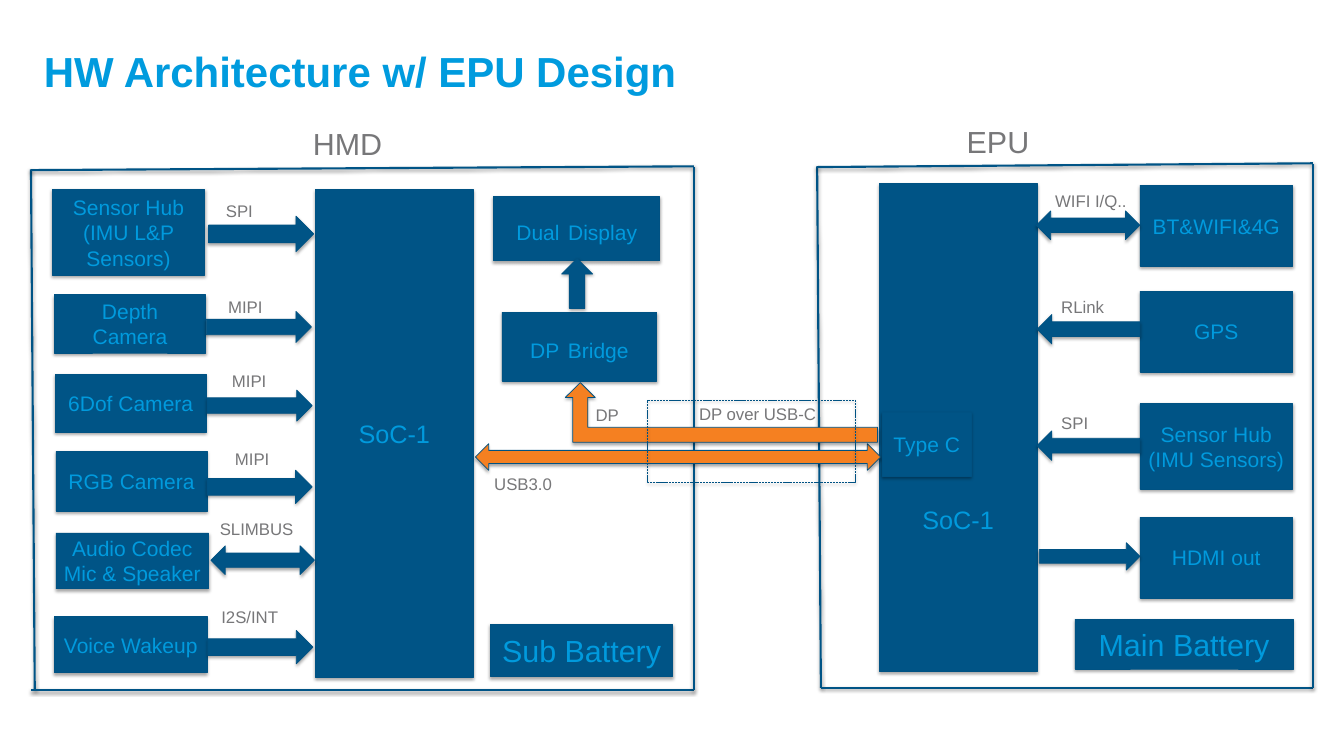
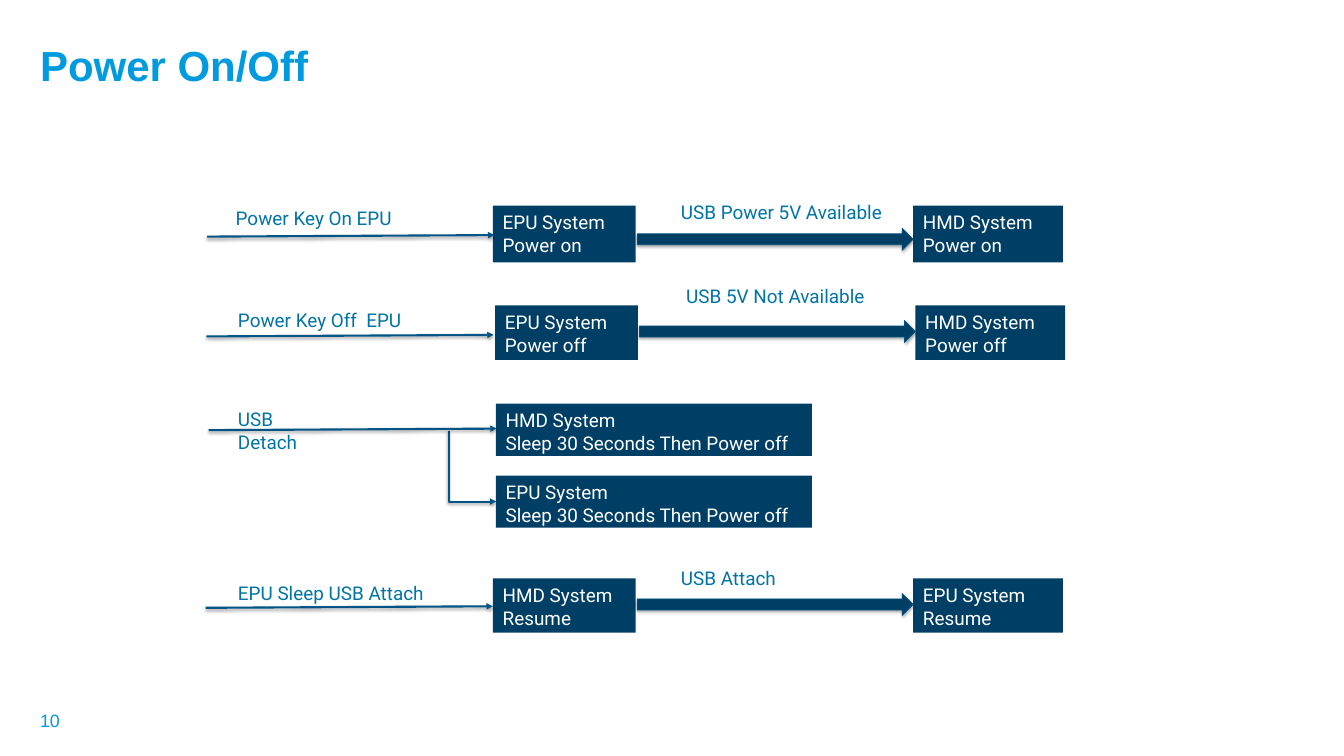
from pptx import Presentation
from pptx.dml.color import RGBColor
from pptx.enum.dml import MSO_LINE
from pptx.enum.shapes import MSO_CONNECTOR, MSO_SHAPE
from pptx.enum.text import MSO_ANCHOR, MSO_AUTO_SIZE, PP_ALIGN
from pptx.oxml.ns import qn
from pptx.oxml.xmlchemy import OxmlElement
from pptx.util import Inches, Pt

# Shared look
BLUE = RGBColor(0x00, 0x54, 0x86)
OUTLINE = RGBColor(0x00, 0x52, 0x83)
NAVY = RGBColor(0x00, 0x3F, 0x65)
SKY = RGBColor(0x00, 0x9A, 0xDD)
TITLE_BLUE = RGBColor(0x00, 0x9B, 0xDE)
LABEL_BLUE = RGBColor(0x00, 0x74, 0xA6)
GREY = RGBColor(0x77, 0x77, 0x79)
ORANGE = RGBColor(0xF5, 0x80, 0x21)
WHITE = RGBColor(0xFF, 0xFF, 0xFF)
ARIAL, ROBOTO = "Arial", "Roboto"

RIGHT, LEFT = MSO_SHAPE.RIGHT_ARROW, MSO_SHAPE.LEFT_ARROW
BOTH, UP = MSO_SHAPE.LEFT_RIGHT_ARROW, MSO_SHAPE.UP_ARROW


def add_child(parent, tag, **attributes):
    child = OxmlElement(tag)
    for name, value in attributes.items():
        child.set(name, str(value))
    parent.append(child)
    return child


def add_shadow(effects, alpha, distance):
    """Soft shadow straight below the element."""
    outer = add_child(effects, "a:outerShdw", blurRad=Pt(3.1), dist=Pt(distance),
                      dir=5400000, rotWithShape=0)
    black = add_child(outer, "a:srgbClr", val="000000")
    add_child(black, "a:alpha", val=alpha * 1000)


def set_insets(frame, across, down):
    frame.margin_left = frame.margin_right = Inches(across)
    frame.margin_top = frame.margin_bottom = Inches(down)


def add_run(paragraph, text, size, color, font=ARIAL, bold=False):
    run = paragraph.add_run()
    run.text = text
    run.font.name = font
    run.font.size = Pt(size)
    run.font.bold = bold
    run.font.color.rgb = color


def add_lines(frame, lines, size, color, font=ARIAL, align=PP_ALIGN.LEFT):
    """One paragraph per line; a line is a text or a list of (text, size) runs."""
    frame.word_wrap = True
    for index, line in enumerate(lines):
        paragraph = frame.add_paragraph() if index else frame.paragraphs[0]
        paragraph.alignment = align
        runs = [(line, size)] if isinstance(line, str) else line
        for text, run_size in runs:
            add_run(paragraph, text, run_size, color, font)


def add_title(slide, text, left, top):
    title = slide.shapes.title
    title.left, title.top = Inches(left), Inches(top)
    title.width, title.height = Inches(17.09), Inches(0.92)
    frame = title.text_frame
    frame.auto_size = MSO_AUTO_SIZE.NONE
    frame.vertical_anchor = MSO_ANCHOR.MIDDLE
    set_insets(frame, 0.18, 0.09)
    paragraph = frame.paragraphs[0]
    paragraph.alignment = PP_ALIGN.LEFT
    add_run(paragraph, text, 40, TITLE_BLUE, bold=True)


def add_label(slide, text, left, top, width, size=16, color=GREY, font=ARIAL):
    label = slide.shapes.add_textbox(Inches(left), Inches(top), Inches(width),
                                     Inches(size * 0.0205 + 0.04))
    add_lines(label.text_frame, [text], size, color, font)
    return label


def add_solid(slide, kind, left, top, width, height, fill=BLUE):
    """Outlined shape with a shadow; no fill when fill is None."""
    solid = slide.shapes.add_shape(kind, Inches(left), Inches(top),
                                   Inches(width), Inches(height))
    if fill is None:
        solid.fill.background()
    else:
        solid.fill.solid()
        solid.fill.fore_color.rgb = fill
    solid.line.color.rgb = OUTLINE
    solid.line.width = Pt(0.75)
    solid.shadow.inherit = False
    add_shadow(solid._element.spPr.find(qn("a:effectLst")), 35, 1.8)
    return solid


def add_block(slide, lines, left, top, width, height, size=20):
    block = add_solid(slide, MSO_SHAPE.RECTANGLE, left, top, width, height)
    block.text_frame.vertical_anchor = MSO_ANCHOR.MIDDLE
    add_lines(block.text_frame, lines, size, SKY, align=PP_ALIGN.CENTER)
    return block


def add_state(slide, lines, left, top, width, height):
    state = slide.shapes.add_shape(MSO_SHAPE.RECTANGLE, Inches(left), Inches(top),
                                   Inches(width), Inches(height))
    state.fill.solid()
    state.fill.fore_color.rgb = NAVY
    state.line.fill.background()
    state.shadow.inherit = False
    state.text_frame.vertical_anchor = MSO_ANCHOR.TOP
    set_insets(state.text_frame, 0.13, 0.07)
    add_lines(state.text_frame, lines, 18, WHITE, ROBOTO)


def add_line(slide, start, end, arrow=False, kind=MSO_CONNECTOR.STRAIGHT):
    (x1, y1), (x2, y2) = start, end
    line = slide.shapes.add_connector(kind, Inches(x1), Inches(y1),
                                      Inches(x2), Inches(y2))
    line.line.color.rgb = BLUE
    line.line.width = Pt(2)
    if arrow:
        add_child(line.line._get_or_add_ln(), "a:tailEnd", type="triangle")
    add_shadow(add_child(line._element.spPr, "a:effectLst"), 38, 1.6)
    return line


def add_frame(slide, left, top, right, bottom, slant):
    """Hand-drawn outline: the left and top edges lean slightly."""
    add_line(slide, (left, top), (left + 0.05, bottom))
    add_line(slide, (left, top + 0.01), (right, top - 0.04))
    add_line(slide, (left + slant, bottom), (right, bottom))
    add_line(slide, (right, top - 0.03), (right, bottom))


def add_branch(slide):
    """Elbow that goes down from the detach line, then right."""
    branch = add_line(slide, (6.72, 5.85), (5.78, 6.48), True, MSO_CONNECTOR.ELBOW)
    branch._element.spPr.find(qn("a:prstGeom")).set("prst", "bentConnector2")
    branch._element.spPr.find(qn("a:xfrm")).set("rot", str(270 * 60000))


def add_links(slide, links):
    """Each link: its label and label box, then its arrow."""
    for text, label_at, kind, arrow_at in links:
        if text:
            add_label(slide, text, *label_at)
        add_solid(slide, kind, *arrow_at)


def build_architecture(slide):
    add_title(slide, "HW Architecture w/ EPU Design", 0.4, 0.47)
    add_label(slide, "HMD", 4.04, 1.61, 1.83, 29)
    add_label(slide, "EPU", 12.69, 1.58, 1.83, 29)
    add_label(slide, "DP", 7.78, 5.31, 1.2)
    add_label(slide, "DP over USB-C", 9.15, 5.29, 2.01)
    add_label(slide, "USB3.0", 6.44, 6.22, 0.97)

    # Processors; the right one keeps its name below the Type C port
    add_block(slide, ["SoC-1"], 4.17, 2.51, 2.09, 6.45, 24)
    epu_chip = add_block(slide, ["SoC-1"], 11.63, 2.43, 2.09, 6.45, 24)
    epu_chip.text_frame.margin_top = Inches(2.49)

    # Device outlines
    add_frame(slide, 0.41, 2.24, 9.18, 9.13, 0)
    add_frame(slide, 10.81, 2.2, 17.37, 9.1, 0.05)

    # HMD parts: display chain, batteries, sensors
    add_block(slide, [[("Dual", 20), (" ", 29), ("Display", 20)]], 6.53, 2.6, 2.2, 0.85)
    add_block(slide, [[("DP", 20), (" ", 29), ("Bridge", 20)]], 6.64, 4.13, 2.05, 0.91)
    add_solid(slide, UP, 7.43, 3.42, 0.41, 0.66)
    add_block(slide, ["Sub Battery"], 6.49, 8.26, 2.41, 0.69, 29)
    add_block(slide, ["Main Battery"], 14.22, 8.19, 2.89, 0.66, 29)
    sensors = [
        (["Sensor Hub (IMU L&P Sensors)"], 0.69, 2.51, 2.02, 1.13),
        (["Depth Camera"], 0.72, 3.9, 2, 0.77),
        (["6Dof Camera"], 0.73, 4.95, 2, 0.77),
        (["RGB Camera"], 0.74, 5.97, 2, 0.79),
        (["Audio Codec", "Mic & Speaker"], 0.74, 7.05, 2.02, 0.74),
        (["Voice Wakeup"], 0.72, 8.16, 2.02, 0.74),
    ]
    for sensor in sensors:
        add_block(slide, *sensor)
    add_links(slide, [
        ("SPI", (2.89, 2.6, 1.14), RIGHT, (2.76, 2.86, 1.39, 0.47)),
        ("MIPI", (2.92, 3.88, 0.87), RIGHT, (2.73, 4.12, 1.39, 0.41)),
        ("MIPI", (2.97, 4.85, 0.68), RIGHT, (2.74, 5.16, 1.39, 0.41)),
        ("MIPI", (3.01, 5.89, 0.78), RIGHT, (2.74, 6.22, 1.39, 0.44)),
        ("SLIMBUS", (2.81, 6.81, 1.36), BOTH, (2.79, 7.22, 1.37, 0.38)),
        ("I2S/INT", (2.83, 7.97, 1.11), RIGHT, (2.75, 8.34, 1.39, 0.44)),
    ])

    # EPU parts
    modules = [("BT&WIFI&4G", 2.45, 1.07), ("GPS", 3.85, 1.07),
               ("Sensor Hub (IMU Sensors)", 5.34, 1.13), ("HDMI out", 6.84, 1.07)]
    for name, top, height in modules:
        add_block(slide, [name], 15.08, top, 2.02, height)
    add_links(slide, [
        ("WIFI I/Q..", (13.86, 2.47, 1.22), BOTH, (13.71, 2.79, 1.37, 0.38)),
        ("RLink", (13.94, 3.87, 0.92), LEFT, (13.72, 4.16, 1.36, 0.39)),
        ("SPI", (13.94, 5.41, 0.92), LEFT, (13.72, 5.7, 1.36, 0.39)),
        (None, None, RIGHT, (13.75, 7.18, 1.33, 0.36)),
    ])

    # USB-C cable between the devices
    add_solid(slide, BOTH, 6.29, 5.87, 5.36, 0.35, ORANGE)
    dp_path = add_solid(slide, MSO_SHAPE.BENT_UP_ARROW, 7.48, 5.06, 4.13, 0.79, ORANGE)
    dp_path._element.spPr.find(qn("a:xfrm")).set("flipH", "1")
    cable = add_solid(slide, MSO_SHAPE.RECTANGLE, 8.57, 5.29, 2.74, 1.09, None)
    cable.line.dash_style = MSO_LINE.SQUARE_DOT
    add_block(slide, ["Type C"], 11.67, 5.45, 1.18, 0.85)


def build_power(slide):
    add_title(slide, "Power On/Off", 0.35, 0.4)

    # Flows: trigger, first state, USB signal, second state
    flows = [
        (("Power Key On EPU", 3.02, 2.68, 2.7), (2.74, 3.13),
         ("EPU System", "HMD System", "Power on"), 6.52, 2.72, 0.75,
         ("USB Power 5V Available", 8.91, 2.61, 2.96), 3.02),
        (("Power Key Off  EPU", 3.05, 4.03, 2.7), (2.73, 4.45),
         ("EPU System", "HMD System", "Power off"), 6.55, 4.04, 0.72,
         ("USB 5V Not Available", 8.98, 3.71, 2.68), 4.24),
        (("EPU Sleep USB Attach", 3.05, 7.64, 3.45), (2.72, 8.04),
         ("HMD System", "EPU System", "Resume"), 6.52, 7.65, 0.72,
         ("USB Attach", 8.91, 7.44, 2.68), 7.85),
    ]
    for trigger, start, names, left, top, height, signal, arrow_top in flows:
        first, second, action = names
        add_state(slide, [first, action], left, top, 1.89, height)
        add_state(slide, [second, action], left + 5.56, top, 1.98, height)
        add_solid(slide, RIGHT, left + 1.91, arrow_top, 3.65, 0.29, NAVY)
        add_line(slide, start, (start[0] + 3.8, start[1] - 0.02), arrow=True)
        for label in (trigger, signal):
            add_label(slide, *label, 18, LABEL_BLUE, ROBOTO)

    # Detach: both devices go to sleep
    for name, top in (("HMD System", 5.34), ("EPU System", 6.29)):
        add_state(slide, [name, "Sleep 30 Seconds Then Power off"], 6.56, top, 4.18, 0.69)
    add_label(slide, "USB Detach", 3.05, 5.34, 1.47, 18, LABEL_BLUE, ROBOTO)
    add_branch(slide)
    add_line(slide, (2.76, 5.69), (6.57, 5.67), arrow=True)

    # Page number
    page = add_label(slide, "10", 0.35, 9.27, 4.15, 17, SKY)
    page.height = Inches(0.53)
    page.text_frame.vertical_anchor = MSO_ANCHOR.MIDDLE
    set_insets(page.text_frame, 0.18, 0.09)


def main():
    deck = Presentation()
    deck.slide_width, deck.slide_height = Inches(17.78), Inches(10)
    title_only = deck.slide_layouts[5]
    for build in (build_architecture, build_power):
        build(deck.slides.add_slide(title_only))
    deck.save("out.pptx")


main()
